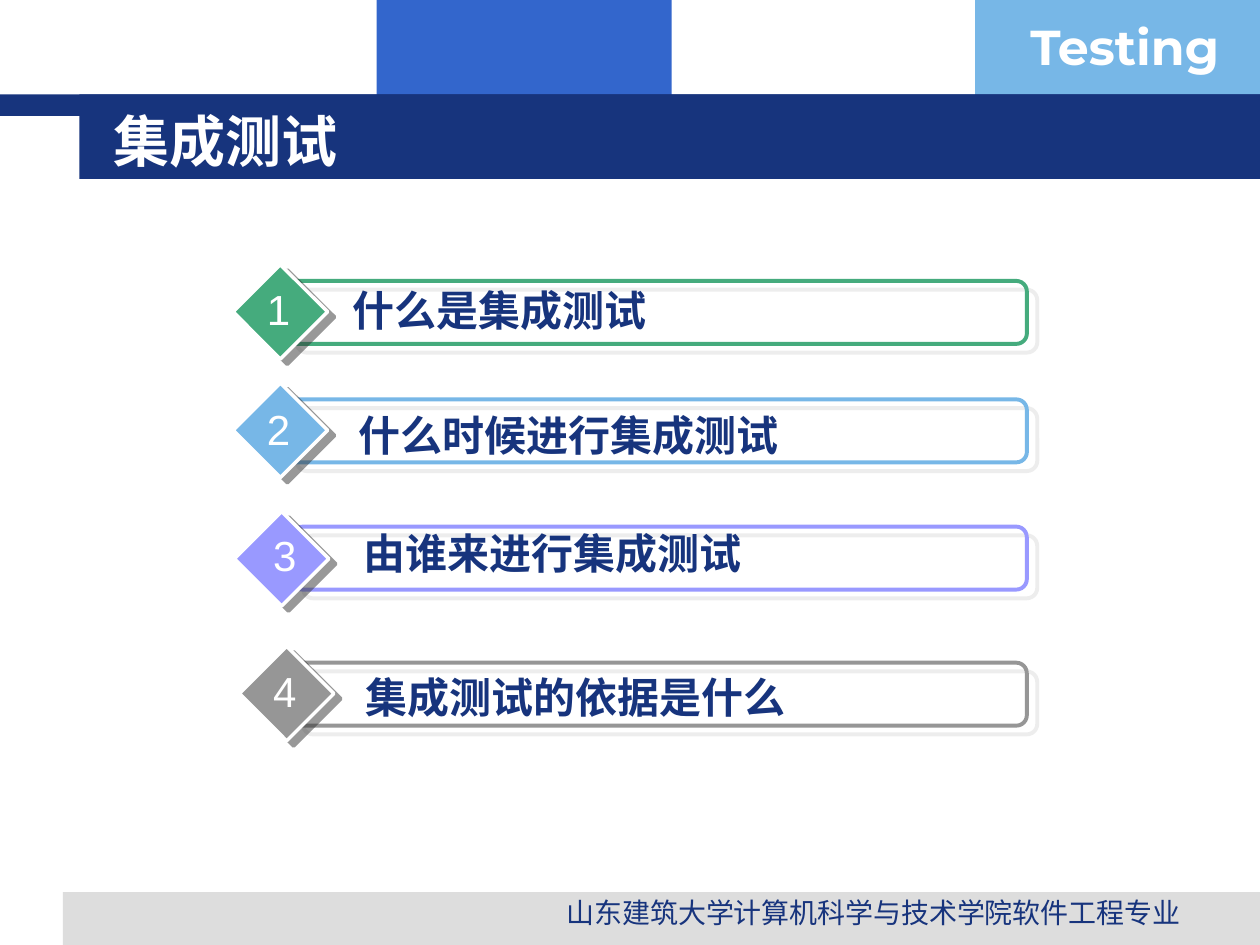
from lxml import etree
from pptx import Presentation
from pptx.dml.color import RGBColor
from pptx.enum import shapes, text
from pptx.oxml.ns import qn
from pptx.util import Inches, Pt

NAVY = RGBColor(0x17, 0x34, 0x7D)
BLUE = RGBColor(0x33, 0x66, 0xCC)
SKY = RGBColor(0x77, 0xB7, 0xE7)
GREEN = RGBColor(0x45, 0xAB, 0x7D)
LILAC = RGBColor(0x99, 0x99, 0xFF)
GREY = RGBColor(0x96, 0x96, 0x96)
SILVER = RGBColor(0xDD, 0xDD, 0xDD)
CHARCOAL = RGBColor(0x33, 0x33, 0x33)
WHITE = RGBColor(0xFF, 0xFF, 0xFF)

BANDS = [  # left, top, width, height, colour
    (2.99, 0, 2.34, 0.92, BLUE),
    (7.74, 0, 2.26, 0.92, SKY),
    (0.5, 7.08, 9.5, 0.42, SILVER),
    (0, 0.75, 10, 0.17, NAVY),
    (0.63, 0.75, 9.37, 0.67, NAVY),
]
ITEMS = [  # topic, colour, box (left, top), diamond (left, top), label (left, top, width), number (left, top)
    ("什么是集成测试", GREEN, (2.27, 2.23), (1.85, 2.1), (2.7, 2.21, 3.88), (2.02, 2.2)),
    ("什么时候进行集成测试", SKY, (2.27, 3.17), (1.85, 3.04), (2.75, 3.2, 3.75), (2.02, 3.15)),
    ("由谁来进行集成测试", LILAC, (2.32, 4.18), (1.86, 4.06), (2.79, 4.14, 5.12), (2.07, 4.15)),
    ("集成测试的依据是什么", GREY, (2.32, 5.26), (1.9, 5.13), (2.8, 5.28, 3.75), (2.07, 5.23)),
]
BOX_RIGHT, ROW_H, DIAMOND = 8.15, 0.5, 0.75


def add_shape(s, kind, x, y, w, h, fill=None, line=None, line_w=0):
    sp = s.shapes.add_shape(kind, Inches(x), Inches(y), Inches(w), Inches(h))
    if fill is None:
        sp.fill.background()
    else:
        sp.fill.solid()
        sp.fill.fore_color.rgb = fill
    if line is None:
        sp.line.fill.background()
    else:
        sp.line.color.rgb = line
        sp.line.width = Pt(line_w)
    sp.shadow.inherit = False
    return sp


def cast_shadow(sp, color, distance, angle):
    """Give a shape a sharp, half-transparent shadow (points, degrees)."""
    effects = sp._element.spPr.find(qn("a:effectLst"))
    shadow = etree.SubElement(effects, qn("a:outerShdw"), blurRad="0", dist=str(int(Pt(distance))),
                              dir=str(angle * 60000), algn="ctr", rotWithShape="0")
    clr = etree.SubElement(shadow, qn("a:srgbClr"), val=str(color))
    etree.SubElement(clr, qn("a:alpha"), val="50000")


def add_text(s, words, x, y, w, h, size, color, font="Arial", bold=False,
             align=text.PP_ALIGN.LEFT, anchor=text.MSO_ANCHOR.TOP, wrap=True):
    tf = s.shapes.add_textbox(Inches(x), Inches(y), Inches(w), Inches(h)).text_frame
    tf.word_wrap = wrap
    tf.vertical_anchor = anchor
    p = tf.paragraphs[0]
    p.alignment = align
    r = p.add_run()
    r.text = words
    r.font.size = Pt(size)
    r.font.name = font
    r.font.bold = bold
    r.font.color.rgb = color


def add_item(s, number, topic, color, box, diamond, label, number_at):
    sp = add_shape(s, shapes.MSO_SHAPE.ROUNDED_RECTANGLE, *box, BOX_RIGHT - box[0], ROW_H,
                   line=color, line_w=2.25)
    sp.adjustments[0] = 0.167
    cast_shadow(sp, SILVER, 7.8, 40)
    sp = add_shape(s, shapes.MSO_SHAPE.DIAMOND, *diamond, DIAMOND, DIAMOND,
                   fill=color, line=WHITE, line_w=2)
    cast_shadow(sp, CHARCOAL, 5, 37)
    add_text(s, topic, *label, ROW_H, 24, NAVY, bold=True)
    add_text(s, str(number), *number_at, 0.38, ROW_H, 24, WHITE,
             align=text.PP_ALIGN.CENTER, wrap=False)


def main():
    prs = Presentation()
    prs.slide_width, prs.slide_height = Inches(10), Inches(7.5)
    s = prs.slides.add_slide(prs.slide_layouts[6])
    for *place, color in BANDS:
        add_shape(s, shapes.MSO_SHAPE.RECTANGLE, *place, fill=color)
    add_text(s, "Testing", 8.08, 0.08, 1.93, 0.57, 28, WHITE, font="Montserrat", bold=True)
    add_text(s, "山东建筑大学计算机科学与技术学院软件工程专业", 4.06, 7.06, 5.75, 0.31, 16, NAVY,
             align=text.PP_ALIGN.CENTER)
    add_text(s, "集成测试", 0.8, 0.8, 8.53, 0.62, 32, WHITE, font="DejaVu Sans", bold=True,
             anchor=text.MSO_ANCHOR.MIDDLE)
    for number, item in enumerate(ITEMS, 1):
        add_item(s, number, *item)
    prs.save("out.pptx")


if __name__ == "__main__":
    main()
